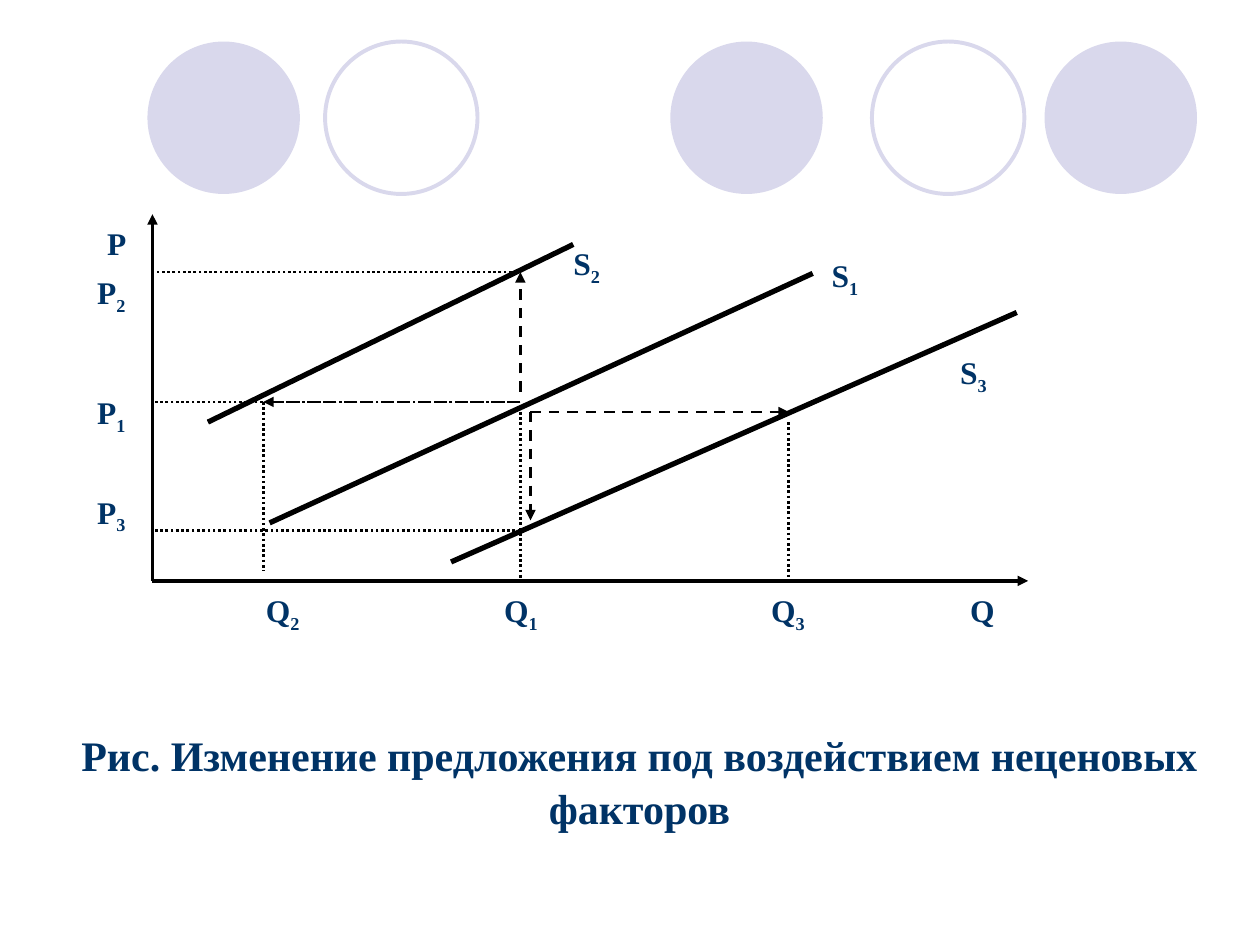
from lxml.etree import SubElement
from pptx import Presentation
from pptx.dml.color import RGBColor
from pptx.enum.dml import MSO_LINE as Dash
from pptx.enum.shapes import MSO_CONNECTOR as Conn, MSO_SHAPE as Shape
from pptx.enum.text import MSO_ANCHOR as Anchor, MSO_AUTO_SIZE as AutoSize, PP_ALIGN as Align
from pptx.oxml.ns import qn
from pptx.util import Inches, Pt

COLORS = {"circle": "D9D8EC", "text": "003366", "line": "000000"}
FONT = "Times New Roman"
COLS, ROWS = 100, 75


def add_run(p, text, size=18, bold=True, color="text", subscript=False):
    r = p.add_run()
    r.text = text
    r.font.name, r.font.size, r.font.bold = FONT, Pt(size), bold
    r.font.color.rgb = RGBColor.from_string(COLORS[color])
    if subscript:
        r.font._element.set("baseline", "-25000")


class Diagram:
    """Draws on one slide; lengths are columns and rows of the grid."""

    def __init__(self, prs):
        self.s = prs.slides.add_slide(prs.slide_layouts[5])
        self.col = prs.slide_width / COLS
        self.row = prs.slide_height / ROWS

    def place(self, x, y, w, h):
        return [round(v * unit) for v, unit in zip((x, y, w, h), (self.col, self.row) * 2)]

    def circle(self, x, y, filled, size=12.1):
        sp = self.s.shapes.add_shape(Shape.OVAL, *self.place(x, y, size, size))
        sp.shadow.inherit = False
        color = RGBColor.from_string(COLORS["circle"])
        if filled:
            sp.fill.solid()
            sp.fill.fore_color.rgb = color
            sp.line.fill.background()
        else:
            sp.fill.background()
            sp.line.color.rgb = color
            sp.line.width = Pt(2.25)

    def line(self, start, end, width=1.5, dash=None, arrow=False):
        cx = self.s.shapes.add_connector(Conn.STRAIGHT, *self.place(*start, *end))
        cx.line.color.rgb = RGBColor.from_string(COLORS["line"])
        cx.line.width = Pt(width)
        if dash:
            cx.line.dash_style = dash
        if arrow:
            SubElement(cx.line._get_or_add_ln(), qn("a:tailEnd"), type="triangle")
        SubElement(cx._element.spPr, qn("a:effectLst"))

    def label(self, x, y, letter, index="", w=3.8, h=4):
        tf = self.s.shapes.add_textbox(*self.place(x, y, w, h)).text_frame
        tf.word_wrap = True
        tf.margin_left = tf.margin_right = Inches(0.02)
        tf.margin_top = tf.margin_bottom = Inches(0.01)
        p = tf.paragraphs[0]
        add_run(p, letter)
        if index:
            add_run(p, index, subscript=True)

    def caption(self, text, x, y, w, h):
        sp = self.s.shapes.title
        sp.left, sp.top, sp.width, sp.height = self.place(x, y, w, h)
        tf = sp.text_frame
        tf.word_wrap, tf.auto_size = True, AutoSize.NONE
        tf.vertical_anchor = Anchor.TOP
        p = tf.paragraphs[0]
        p.alignment, p.line_spacing = Align.CENTER, 1.05
        add_run(p, text, size=24)


def main():
    prs = Presentation()
    prs.slide_width, prs.slide_height = Inches(10), Inches(7.5)
    d = Diagram(prs)

    for x, filled in ((11.7, True), (25.8, False), (53.2, True), (69.2, False), (82.9, True)):
        d.circle(x, 3.3, filled)

    d.caption("Рис. Изменение предложения под воздействием неценовых факторов",
              3.5, 57.2, 94.5, 9)

    axis_x, axis_y = 12.1, 46.1
    q2, q1, q3 = 20.9, 41.3, 62.6
    p2, p1, p3 = 21.6, 31.9, 42.1
    step = 0.8

    # Supply curves
    for start, end in (((45.5, 19.4), (16.5, 33.5)),
                       ((64.5, 21.7), (21.4, 41.5)),
                       ((80.7, 24.8), (35.8, 44.6))):
        d.line(start, end, width=3)

    # Guides to the axes
    for q, top, bottom in ((q2, p1, 45.3), (q1, p1 + step, axis_y), (q3, 33.5, 45.9)):
        d.line((q, top), (q, bottom), dash=Dash.ROUND_DOT)
    for p, right in ((p2, 40.6), (p1, q1), (p3, q1)):
        d.line((right, p), (axis_x, p), dash=Dash.ROUND_DOT)

    # Axes
    d.line((axis_x, axis_y), (axis_x, 17), width=2, arrow=True)
    d.line((axis_x, axis_y), (81.6, axis_y), width=2, arrow=True)

    # Shifts away from the first equilibrium
    corner = (q1 + step, p1 + step)
    for start, end in (((q1, p1), (q2, p1)),
                       ((q1, p1 - step), (q1, p2)),
                       (corner, (q3, corner[1])),
                       (corner, (corner[0], p3 - step))):
        d.line(start, end, dash=Dash.DASH, arrow=True)

    d.label(8.3, 17.7, "Р")
    for y, index in ((21.6, "2"), (31.1, "1"), (39, "3")):
        d.label(7.5, y, "Р", index)
    for x, index in ((20.9, "2"), (39.8, "1"), (61, "3"), (76.8, "")):
        d.label(x, 46.8, "Q", index)
    for x, y, index in ((45.3, 19.3, "2"), (65.8, 20.2, "1"), (76, 27.9, "3")):
        d.label(x, y, "S", index)

    prs.save("out.pptx")


if __name__ == "__main__":
    main()
